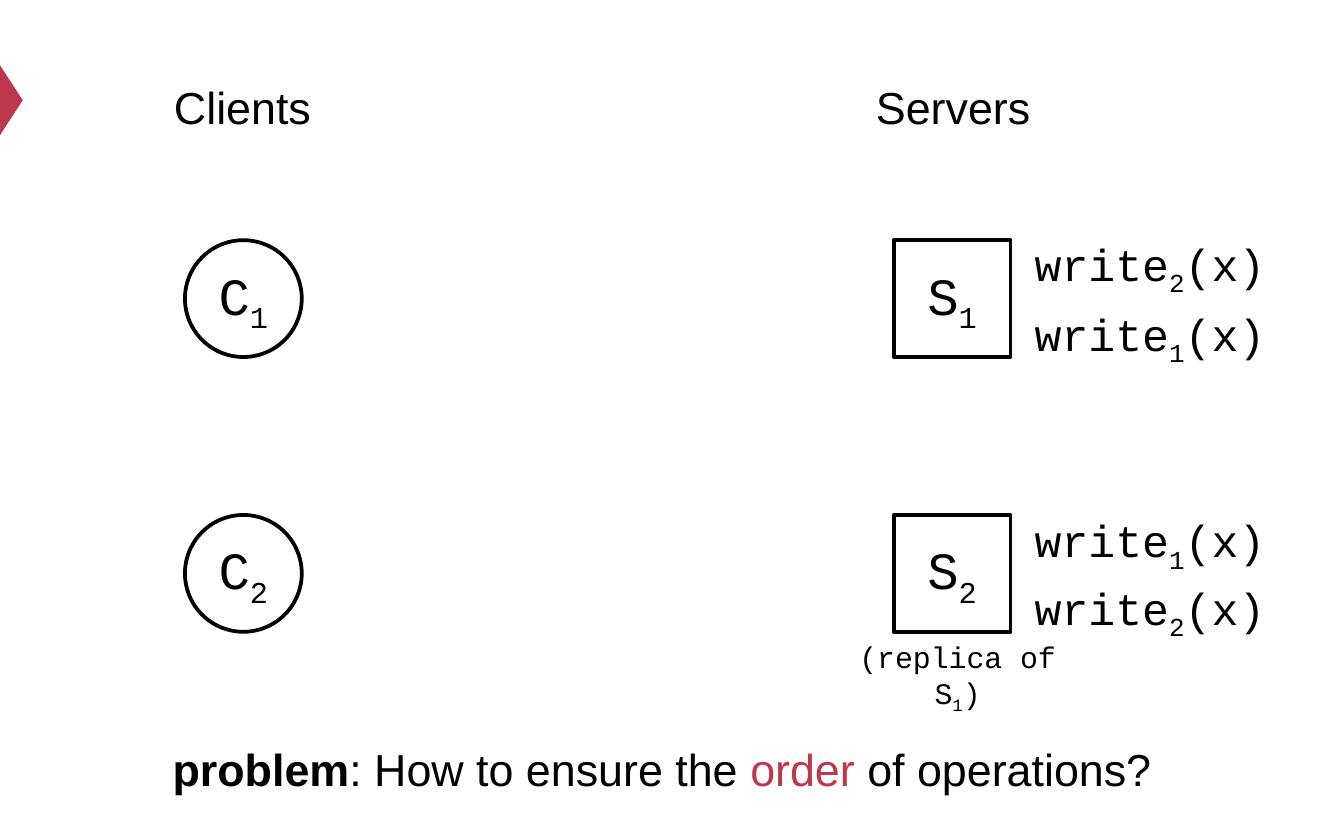
import pptx
import pptx.util
import pptx.dml.color
import pptx.enum.shapes
import pptx.enum.text

Pt = pptx.util.Pt
SHAPES = pptx.enum.shapes.MSO_SHAPE
ALIGN = pptx.enum.text.PP_ALIGN
BLACK, RED = "000000", "BE384B"
MONO, SANS = "Courier New", "Arial"


def color(hex_string):
    return pptx.dml.color.RGBColor.from_string(hex_string)


def write_text(box, pieces, size=24, font=MONO, align=ALIGN.CENTER, wrap=True, grow=True):
    frame = box.text_frame
    frame.word_wrap = wrap
    if grow:
        frame.auto_size = pptx.enum.text.MSO_AUTO_SIZE.SHAPE_TO_FIT_TEXT
    para = frame.paragraphs[0]
    para.alignment = align
    for text, style in pieces:
        span = para.add_run()
        span.text = text
        span.font.size = Pt(size)
        span.font.name = font
        span.font.bold = style == "bold"
        span.font.color.rgb = color(RED if style == "red" else BLACK)
        if style == "sub":
            span._r.get_or_add_rPr().set("baseline", "-25000")


deck = pptx.Presentation()
deck.slide_width, deck.slide_height = Pt(720), Pt(450)
page = deck.slides.add_slide(deck.slide_layouts[6])
shapes = page.shapes

marker = shapes.add_shape(SHAPES.ISOSCELES_TRIANGLE, Pt(-13), Pt(47.5), Pt(38), Pt(12.4))
marker.rotation = 90
marker.shadow.inherit = False
marker.fill.solid()
marker.fill.fore_color.rgb = color(RED)
marker.line.fill.background()

for heading, left, width in [("Clients", 85.6, 88.6), ("Servers", 461.6, 98)]:
    box = shapes.add_textbox(Pt(left), Pt(39), Pt(width), Pt(36))
    write_text(box, [(heading, "")], font=SANS, wrap=False)

for number, top in [("1", 128.7), ("2", 275.9)]:
    for letter, kind, left in [("C", SHAPES.OVAL, 99.1), ("S", SHAPES.RECTANGLE, 478.8)]:
        node = shapes.add_shape(kind, Pt(left), Pt(top), Pt(62.6), Pt(62.6))
        node.shadow.inherit = False
        node.fill.background()
        node.line.color.rgb = color(BLACK)
        node.line.width = Pt(2)
        node.text_frame.vertical_anchor = pptx.enum.text.MSO_ANCHOR.MIDDLE
        write_text(node, [(letter, ""), (number, "sub")], size=28, grow=False)

for number, top in [("2", 123.1), ("1", 160.6), ("1", 271.4), ("2", 307.4)]:
    box = shapes.add_textbox(Pt(547.2), Pt(top), Pt(147.6), Pt(36))
    write_text(box, [("write", ""), (number, "sub"), ("(x)", "")], align=ALIGN.LEFT)

replica = shapes.add_textbox(Pt(439.2), Pt(338.5), Pt(147.6), Pt(26.6))
write_text(replica, [("(replica of S", ""), ("1", "sub"), (")", "")], size=16)

problem = shapes.add_textbox(Pt(36.7), Pt(393.8), Pt(635.8), Pt(36))
write_text(
    problem,
    [("problem", "bold"), (": How to ensure the ", ""), ("order ", "red"), ("of operations?", "")],
    font=SANS,
)

deck.save("out.pptx")
